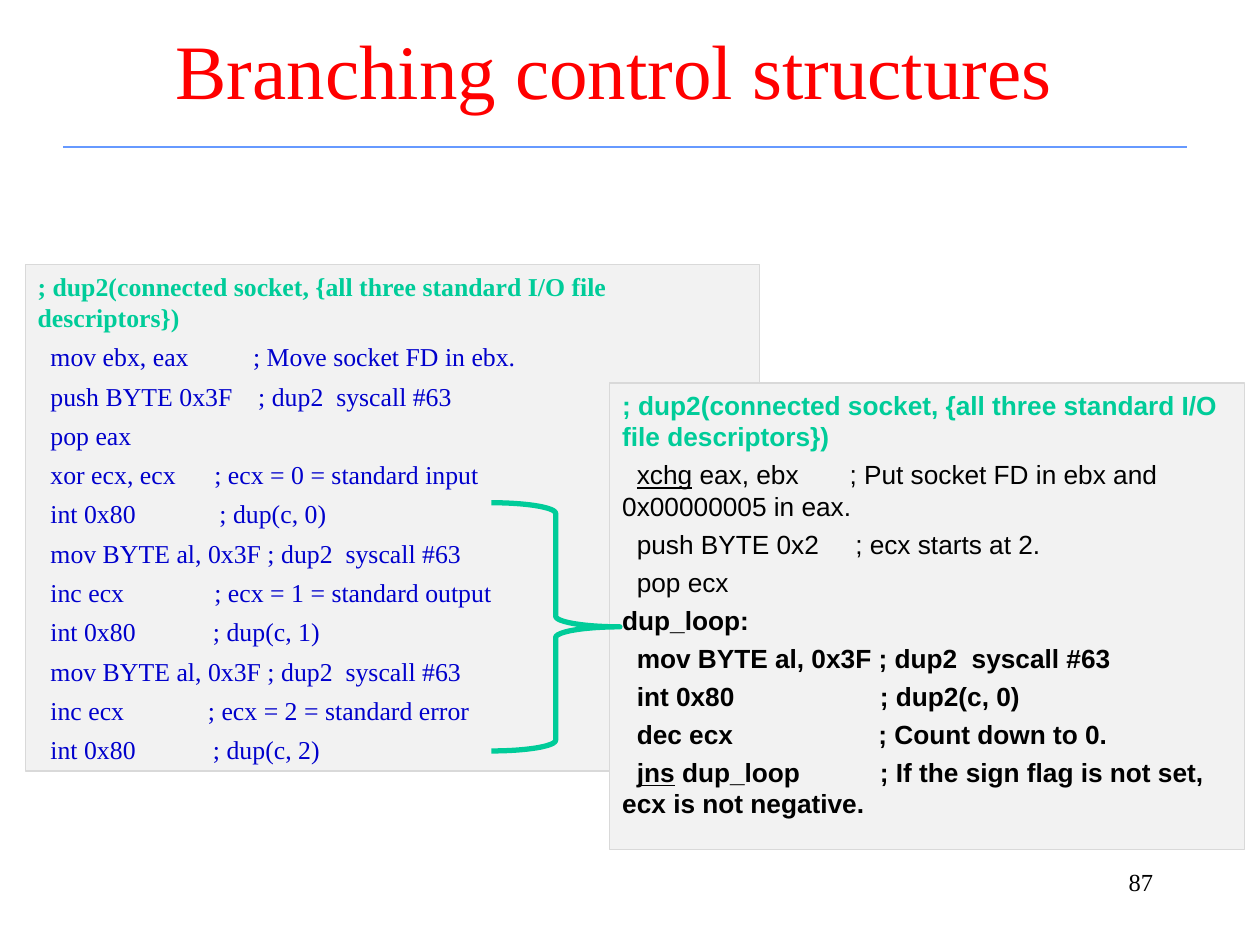
from lxml import etree
from pptx import Presentation
from pptx.dml.color import RGBColor
from pptx.enum.shapes import MSO_CONNECTOR, MSO_SHAPE
from pptx.enum.text import MSO_ANCHOR, PP_ALIGN
from pptx.oxml.ns import qn
from pptx.util import Inches, Pt

RECTANGLE, BRACE = MSO_SHAPE.RECTANGLE, MSO_SHAPE.RIGHT_BRACE
STRAIGHT = MSO_CONNECTOR.STRAIGHT
LEFT, CENTER, RIGHT = PP_ALIGN.LEFT, PP_ALIGN.CENTER, PP_ALIGN.RIGHT
TOP, MIDDLE = MSO_ANCHOR.TOP, MSO_ANCHOR.MIDDLE
SERIF, SANS = "Times New Roman", "Arial"

COLORS = {
    "title": "FF0000", "rule": "6699FF", "panel": "F2F2F2", "border": "D9D9D9",
    "accent": "00CC99", "blue": "0000CC", "black": "000000",
}

HEADING = "; dup2(connected socket, {all three standard I/O file descriptors})"
UNROLLED = [
    "  mov ebx, eax          ; Move socket FD in ebx.",
    "  push BYTE 0x3F    ; dup2  syscall #63",
    "  pop eax",
    "  xor ecx, ecx      ; ecx = 0 = standard input",
    "  int 0x80             ; dup(c, 0)",
    "  mov BYTE al, 0x3F ; dup2  syscall #63",
    "  inc ecx              ; ecx = 1 = standard output",
    "  int 0x80            ; dup(c, 1)",
    "  mov BYTE al, 0x3F ; dup2  syscall #63",
    "  inc ecx             ; ecx = 2 = standard error",
    "  int 0x80            ; dup(c, 2)",
]
SETUP = [
    "  xchg eax, ebx       ; Put socket FD in ebx and 0x00000005 in eax.",
    "  push BYTE 0x2     ; ecx starts at 2.",
    "  pop ecx",
]
LOOP = [
    "dup_loop:",
    "  mov BYTE al, 0x3F ; dup2  syscall #63",
    "  int 0x80                    ; dup2(c, 0)",
    "  dec ecx                    ; Count down to 0.",
    "  jns dup_loop           ; If the sign flag is not set, ecx is not negative.",
]
UNDERLINED = ("xchg", "jns")

PANELS = [
    {"at": (0.2, 2.1, 5.83, 4.02), "font": SERIF, "size": 14.7, "gap": 4.8,
     "groups": [([HEADING], "accent", True), (UNROLLED, "blue", False)]},
    {"at": (4.84, 3.04, 5.04, 3.7), "font": SANS, "size": 15, "gap": 3.7,
     "groups": [([HEADING], "accent", True), (SETUP, "black", False),
                (LOOP, "black", True)]},
]


def color(name):
    return RGBColor.from_string(COLORS[name])


def set_font(para, name, size, tint, bold=False):
    font = para.font
    font.name, font.size, font.bold = name, Pt(size), bold
    font.color.rgb = color(tint)


def add_label(page, at, text, size, tint, align, anchor):
    frame = page.shapes.add_textbox(*map(Inches, at)).text_frame
    frame.word_wrap = True
    frame.vertical_anchor = anchor
    para = frame.paragraphs[0]
    para.text = text
    para.alignment = align
    set_font(para, SERIF, size, tint)


def add_code_line(para, line):
    keyword = next((word for word in UNDERLINED if word in line), None)
    if keyword is None:
        para.text = line
        return
    before, _, after = line.partition(keyword)
    for part in (before, keyword, after):
        span = para.add_run()
        span.text = part
        if part == keyword:
            span.font.underline = True


def add_panel(page, panel):
    box = page.shapes.add_shape(RECTANGLE, *map(Inches, panel["at"]))
    box.shadow.inherit = False
    box.fill.solid()
    box.fill.fore_color.rgb = color("panel")
    box.line.color.rgb = color("border")
    box.line.width = Pt(0.75)
    frame = box.text_frame
    frame.word_wrap = True
    frame.vertical_anchor = TOP
    lines = [(line, tint, bold) for group, tint, bold in panel["groups"]
             for line in group]
    for index, (line, tint, bold) in enumerate(lines):
        para = frame.add_paragraph() if index else frame.paragraphs[0]
        add_code_line(para, line)
        para.alignment = LEFT
        para.space_before = Pt(panel["gap"] if index else 0)
        set_font(para, panel["font"], panel["size"], tint, bold)


def add_rule(page):
    height = Inches(7 / 6)
    rule = page.shapes.add_connector(
        STRAIGHT, Inches(0.5), height, Inches(9.42), height)
    rule.line.color.rgb = color("rule")
    rule.line.width = Pt(1)
    etree.SubElement(rule._element.spPr, qn("a:effectLst"))


def add_brace(page):
    brace = page.shapes.add_shape(BRACE, *map(Inches, (3.9, 3.99, 1.02, 1.97)))
    brace.shadow.inherit = False
    brace.fill.background()
    brace.line.color.rgb = color("accent")
    brace.line.width = Pt(3)


def main():
    deck = Presentation()
    deck.slide_width, deck.slide_height = Inches(10), Inches(7.5)
    page = deck.slides.add_slide(deck.slide_layouts[6])
    add_rule(page)
    add_label(page, (0.5, 0.17, 8.75, 0.75), "Branching control structures",
              44, "title", CENTER, MIDDLE)
    for panel in PANELS:
        add_panel(page, panel)
    add_brace(page)
    add_label(page, (7.17, 6.83, 2.08, 0.5), "87", 14, "black", RIGHT, TOP)
    deck.save("out.pptx")


if __name__ == "__main__":
    main()
